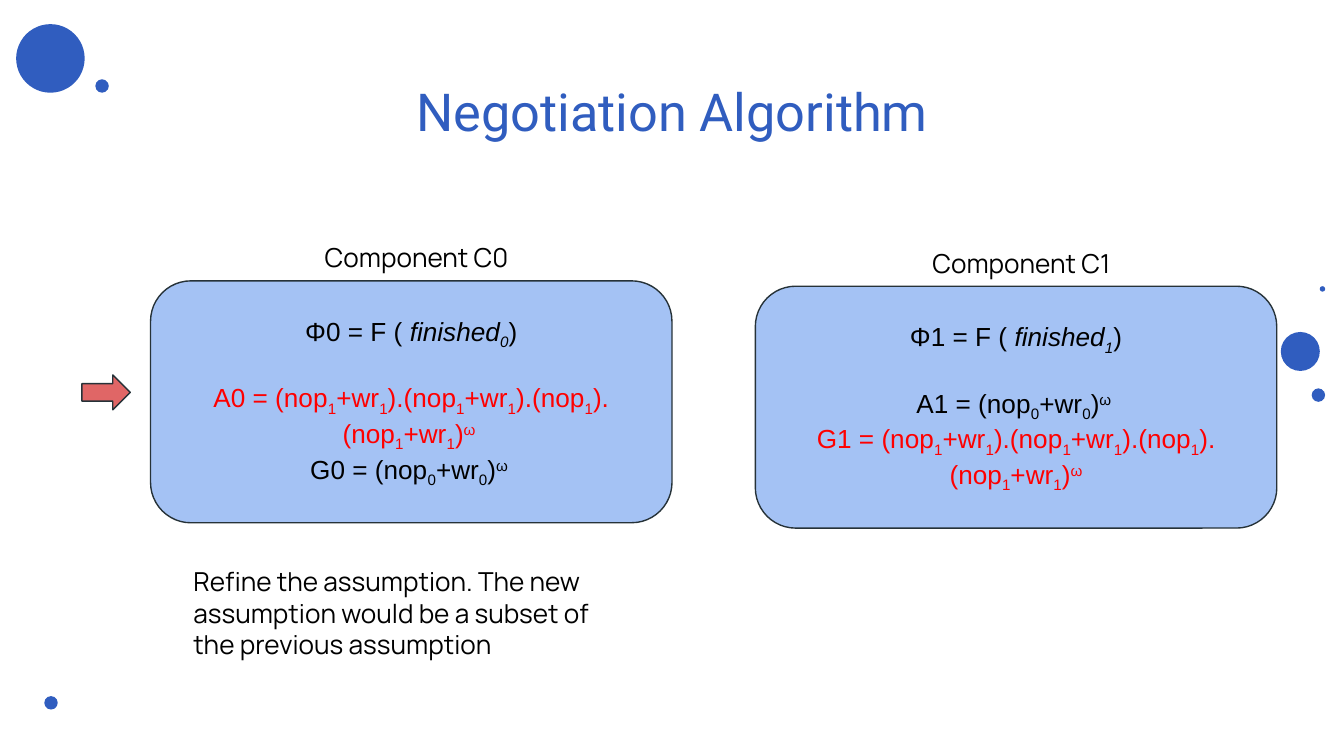
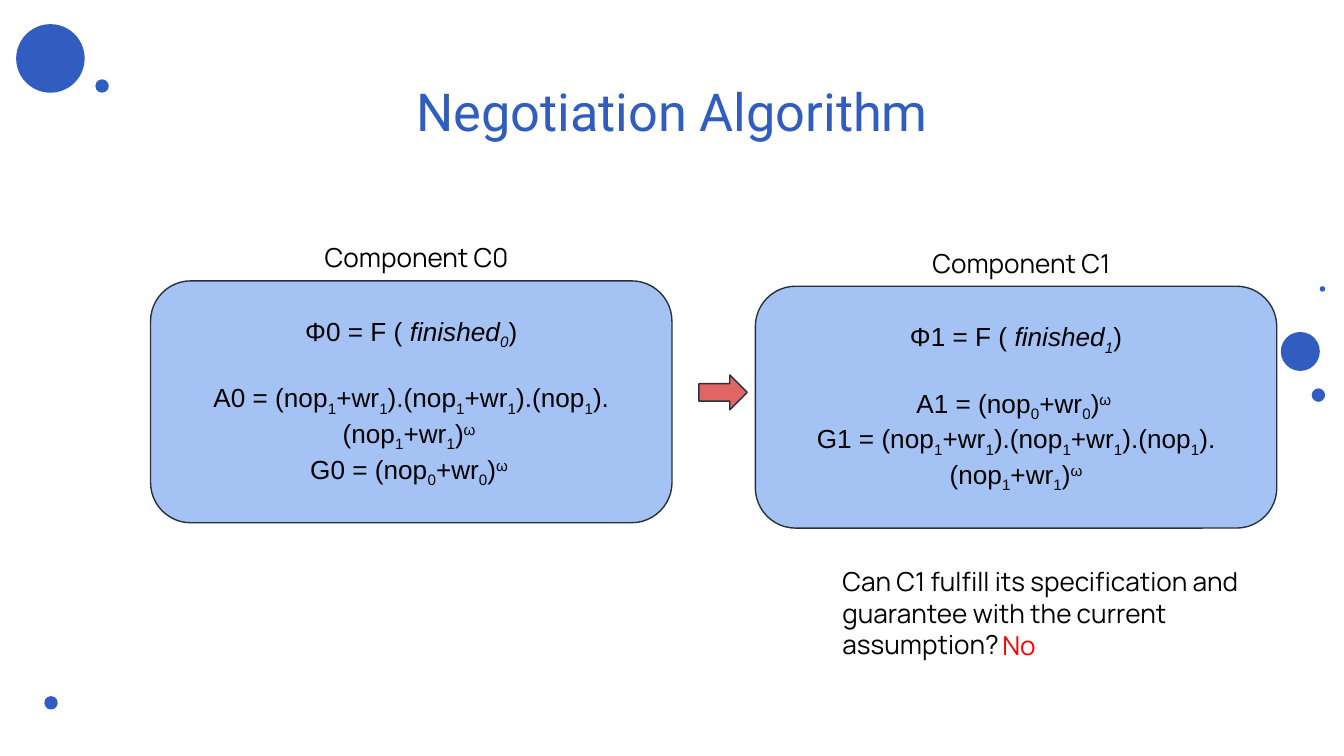
import pptx
import pptx.dml.color
import pptx.enum.shapes
import pptx.enum.text
import pptx.util
from pptx.util import Inches

BLUE, PANEL, ARROW = "305DBF", "A4C2F4", "E06666"
BLACK, RED, OUTLINE = "000000", "FF0000", "263238"
SHAPE = pptx.enum.shapes.MSO_SHAPE
ALIGN = pptx.enum.text.PP_ALIGN
ANCHOR = pptx.enum.text.MSO_ANCHOR
FIT = pptx.enum.text.MSO_AUTO_SIZE

BUBBLES = [
    (0.12, 0.18, 0.51),
    (0.71, 0.59, 0.1),
    (9.53, 2.47, 0.29),
    (9.76, 2.89, 0.1),
    (9.82, 2.13, 0.04),
    (0.33, 5.18, 0.1),
]
C0_BOX = (1.12, 2.09, 3.88, 1.8)
C1_BOX = (5.62, 2.13, 3.88, 1.8)

BASELINES = {"_": "-25000", "^": "30000"}
STEP_0 = "(nop_0_+wr_0_)"
STEP_1 = "(nop_1_+wr_1_)"
ANY_0 = f"{STEP_0}^ω ^"
REFINED = f"{STEP_1}.{STEP_1}.(nop_1_).{STEP_1}"


def color(value):
    """Return the colour for a hex string."""
    return pptx.dml.color.RGBColor.from_string(value)


def split_markup(text):
    """Yield (piece, italic, baseline); / _ ^ switch italic, sub- and superscript."""
    piece, italic, baseline = "", False, None
    for char in text:
        if char not in "/_^":
            piece += char
            continue
        if piece:
            yield piece, italic, baseline
        piece = ""
        if char == "/":
            italic = not italic
        else:
            baseline = None if baseline else BASELINES[char]
    if piece:
        yield piece, italic, baseline


def write(frame, text, font="Manrope", size=14, ink=BLACK, align=ALIGN.LEFT, gap=0):
    """Append one formatted paragraph to a text frame."""
    paragraph = frame.add_paragraph() if frame.text else frame.paragraphs[0]
    paragraph.alignment = align
    paragraph.space_before = pptx.util.Pt(gap)
    for piece, italic, baseline in split_markup(text):
        run = paragraph.add_run()
        run.text = piece
        run.font.name = font
        run.font.size = pptx.util.Pt(size)
        run.font.italic = italic
        run.font.color.rgb = color(ink)
        if baseline:
            run.font._element.set("baseline", baseline)


def set_up_frame(frame):
    """Turn on wrapping and even insets."""
    frame.word_wrap = True
    frame.margin_left = frame.margin_right = Inches(0.1)
    frame.margin_top = frame.margin_bottom = Inches(0.1)
    return frame


def add_label(slide, box, text, grow=True, **style):
    """Add a text box holding one paragraph."""
    frame = set_up_frame(slide.shapes.add_textbox(*map(Inches, box)).text_frame)
    frame.auto_size = FIT.SHAPE_TO_FIT_TEXT if grow else FIT.NONE
    write(frame, text, **style)


def add_figure(slide, kind, box, fill, outline=None):
    """Add a flat preset shape."""
    figure = slide.shapes.add_shape(kind, *map(Inches, box))
    figure.shadow.inherit = False
    figure.fill.solid()
    figure.fill.fore_color.rgb = color(fill)
    if outline:
        figure.line.color.rgb = color(outline)
        figure.line.width = pptx.util.Pt(0.75)
    else:
        figure.line.fill.background()
    return figure


def add_component(slide, box, name, goal, assumption, guarantee, highlight=None):
    """Add a component's panel of formulas with its name above."""
    left, top, _, _ = box
    panel = add_figure(slide, SHAPE.ROUNDED_RECTANGLE, box, PANEL, OUTLINE)
    frame = set_up_frame(panel.text_frame)
    frame.vertical_anchor = ANCHOR.MIDDLE
    for formula, gap in ((goal, 0), (assumption, 16.5), (guarantee, 0)):
        ink = RED if formula == highlight else BLACK
        write(frame, formula, font="Arial", ink=ink, align=ALIGN.CENTER, gap=gap)
    add_label(slide, (left + 0.39, top - 0.39, 3.18, 0.44), name, align=ALIGN.CENTER)


def add_remark(slide, box, text, answer=None):
    """Add the remark under a component and an optional answer at its end."""
    left, top, _, _ = box
    add_label(slide, box, text)
    if answer:
        add_label(slide, (left + 1.19, top + 0.47, 0.64, 0.44), answer, ink=RED)


def add_negotiation_slide(deck, arrow_left, remark_left, remark, answer=None, changed=False):
    """Add one step of the negotiation between the two components."""
    slide = deck.slides.add_slide(deck.slide_layouts[6])
    for left, top, size in BUBBLES:
        add_figure(slide, SHAPE.OVAL, (left, top, size, size), BLUE)
    add_label(slide, (0.75, 0.49, 8.5, 0.63), "Negotiation Algorithm", grow=False,
              font="Roboto", size=28, ink=BLUE, align=ALIGN.CENTER)
    new_assumption = f"A0 = {REFINED}^ω ^"
    new_guarantee = f"G1 = {REFINED}^ω^"
    add_component(slide, C0_BOX, "Component C0", "Φ0 = F ( /finished_0_/)",
                  new_assumption, f"G0 = {ANY_0}", new_assumption if changed else None)
    add_component(slide, C1_BOX, "Component C1", "Φ1 = F ( /finished_1_/)",
                  f"A1 = {ANY_0}", new_guarantee, new_guarantee if changed else None)
    add_figure(slide, SHAPE.RIGHT_ARROW, (arrow_left, 2.79, 0.36, 0.26), ARROW, OUTLINE)
    add_remark(slide, (remark_left, 4.11, 3.16, 0.91), remark, answer)


def main():
    """Build and save the deck."""
    deck = pptx.Presentation()
    deck.slide_width = Inches(10)
    deck.slide_height = deck.slide_width * 9 // 16
    add_negotiation_slide(
        deck, 0.61, 1.34,
        "Refine the assumption. The new assumption would be a subset of the previous assumption",
        changed=True)
    add_negotiation_slide(
        deck, 5.2, 6.17,
        "Can C1 fulfill its specification and guarantee with the current assumption?",
        answer="No")
    deck.save("out.pptx")


if __name__ == "__main__":
    main()
